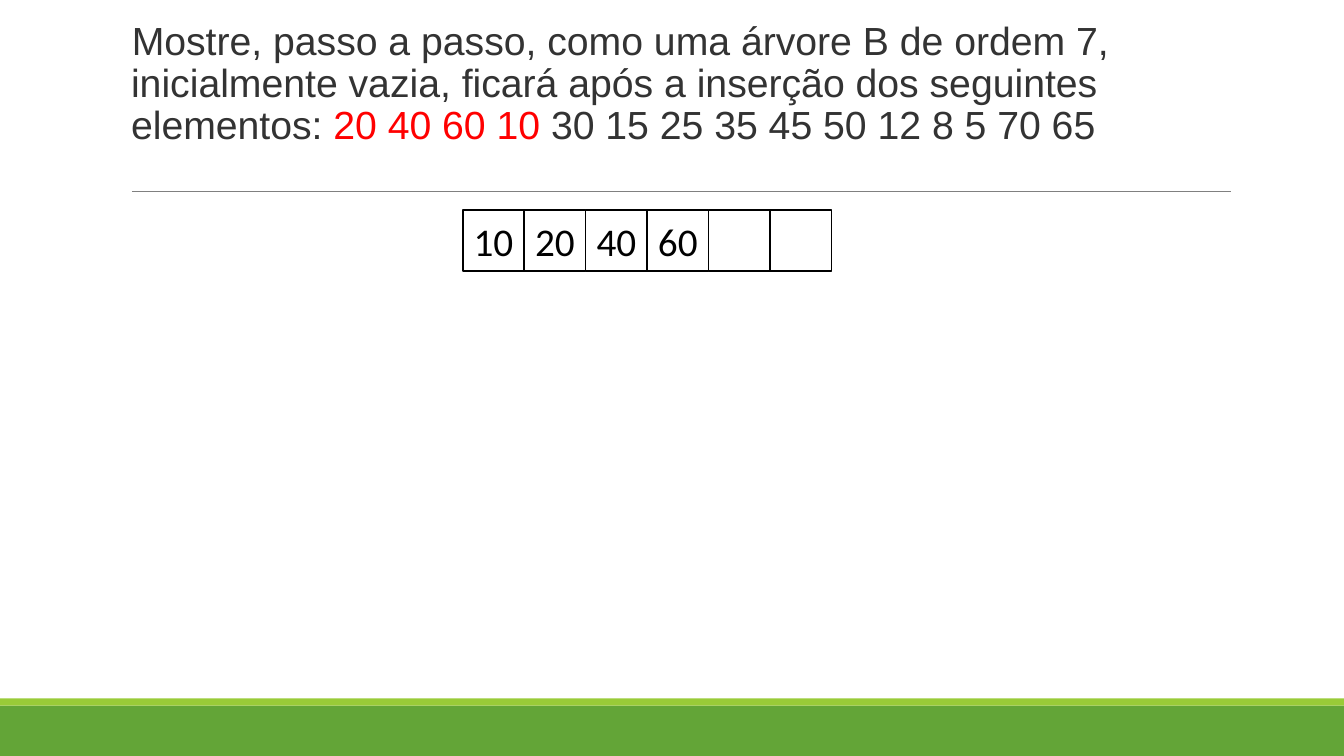
from dataclasses import dataclass

from lxml import etree
from pptx import Presentation
from pptx.dml.color import RGBColor
from pptx.enum.shapes import MSO_CONNECTOR, MSO_SHAPE
from pptx.enum.text import MSO_ANCHOR, MSO_AUTO_SIZE, PP_ALIGN
from pptx.oxml.ns import qn
from pptx.util import Pt

RECTANGLE = MSO_SHAPE.RECTANGLE
STRAIGHT = MSO_CONNECTOR.STRAIGHT
TOP, MIDDLE = MSO_ANCHOR.TOP, MSO_ANCHOR.MIDDLE
CENTER, LEFT = PP_ALIGN.CENTER, PP_ALIGN.LEFT
NO_AUTOFIT = MSO_AUTO_SIZE.NONE

BLACK = RGBColor(0x00, 0x00, 0x00)
WHITE = RGBColor(0xFF, 0xFF, 0xFF)
RED = RGBColor(0xFF, 0x00, 0x00)
DARK_GRAY = RGBColor(0x33, 0x33, 0x33)
GRAY = RGBColor(0x80, 0x80, 0x80)
GREEN = RGBColor(0x63, 0xA5, 0x37)
LIME = RGBColor(0x99, 0xCB, 0x38)

SLIDE_W, SLIDE_H = 960, 540
NODE_LEFT, NODE_TOP, KEY_SIZE = 330.5, 149.8, 43.9
NODE_KEYS = ("10", "20", "40", "60", "", "")


@dataclass(frozen=True)
class Box:
    left: float
    top: float
    width: float
    height: float
    fill: RGBColor
    line: RGBColor | None = None
    text: str = ""


FOOTER_BARS = (
    Box(0, 504, SLIDE_W, 36, GREEN),
    Box(0, 498.8, SLIDE_W, 5.2, LIME),
)
NODE = tuple(
    Box(NODE_LEFT + i * KEY_SIZE, NODE_TOP, KEY_SIZE, KEY_SIZE, WHITE, BLACK, key)
    for i, key in enumerate(NODE_KEYS)
)
STATEMENT = (
    ("Mostre, passo a passo, como uma árvore B de ordem 7, inicialmente vazia, "
     "ficará após a inserção dos seguintes elementos: ", DARK_GRAY),
    ("20 40 60 10", RED),
    (" 30 15 25 35 45 50 12 8 5 70 65", DARK_GRAY),
)


def add_text(p, text: str, *, font: str, color: RGBColor, size: float = 28) -> None:
    r = p.add_run()
    r.text = text
    r.font.name = font
    r.font.size = Pt(size)
    r.font.color.rgb = color


def add_box(slide, box: Box) -> None:
    sp = slide.shapes.add_shape(
        RECTANGLE, Pt(box.left), Pt(box.top), Pt(box.width), Pt(box.height))
    sp.shadow.inherit = False
    sp.fill.solid()
    sp.fill.fore_color.rgb = box.fill
    if box.line is None:
        sp.line.fill.background()
    else:
        sp.line.color.rgb = box.line
        sp.line.width = Pt(1.25)
    if box.text:
        tf = sp.text_frame
        tf.vertical_anchor = MIDDLE
        p = tf.paragraphs[0]
        p.alignment = CENTER
        add_text(p, box.text, font="Calibri", color=BLACK)


def add_rule(slide) -> None:
    rule = slide.shapes.add_connector(STRAIGHT, Pt(94.3), Pt(136.8), Pt(879.1), Pt(136.8))
    rule.line.color.rgb = GRAY
    rule.line.width = Pt(0.5)
    etree.SubElement(rule._element.spPr, qn("a:effectLst"))


def set_blank_bullet(p) -> None:
    """Give the paragraph a blank bullet with a small hanging indent."""
    pPr = p._p.get_or_add_pPr()
    pPr.set("marL", str(Pt(7.2)))
    pPr.set("indent", str(Pt(-7.2)))
    color = etree.SubElement(pPr, qn("a:buClr"))
    etree.SubElement(color, qn("a:srgbClr"), val=str(LIME))
    etree.SubElement(pPr, qn("a:buChar"), char=" ")


def fill_statement(body) -> None:
    body.left, body.top, body.width, body.height = Pt(86.4), Pt(11.5), Pt(792), Pt(102.2)
    tf = body.text_frame
    tf.word_wrap = True
    tf.auto_size = NO_AUTOFIT
    tf.vertical_anchor = TOP
    tf.margin_left = tf.margin_right = 0
    tf.margin_top = tf.margin_bottom = Pt(3.6)
    p = tf.paragraphs[0]
    set_blank_bullet(p)
    p.alignment = LEFT
    p.line_spacing = 0.9
    p.space_before = Pt(0)
    p.space_after = Pt(2)
    for text, color in STATEMENT:
        add_text(p, text, font="Arial", color=color)


def main() -> None:
    prs = Presentation()
    prs.slide_width, prs.slide_height = Pt(SLIDE_W), Pt(SLIDE_H)
    slide = prs.slides.add_slide(prs.slide_layouts[1])
    title = slide.shapes.title._element
    title.getparent().remove(title)
    fill_statement(slide.placeholders[1])
    for bar in FOOTER_BARS:
        add_box(slide, bar)
    add_rule(slide)
    for key in NODE:
        add_box(slide, key)
    prs.save("out.pptx")


if __name__ == "__main__":
    main()
